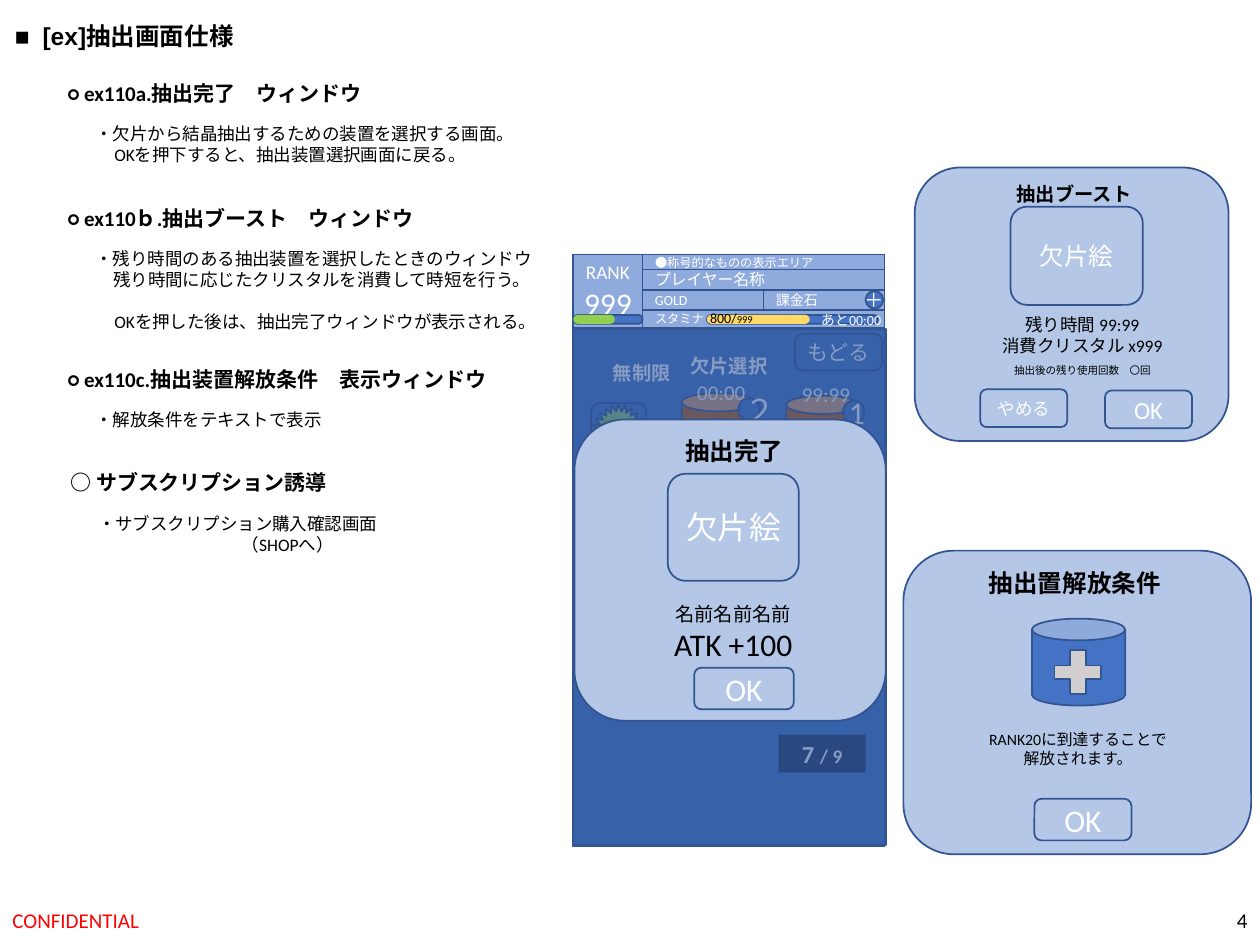
"""Build the extraction screen specification slide."""
from copy import deepcopy
from dataclasses import dataclass

from lxml.etree import SubElement
from pptx import Presentation
from pptx.dml.color import RGBColor
from pptx.enum.lang import MSO_LANGUAGE_ID
from pptx.enum.shapes import MSO_SHAPE
from pptx.enum.text import MSO_ANCHOR, MSO_AUTO_SIZE, PP_ALIGN
from pptx.oxml.ns import qn
from pptx.util import Inches, Pt

BLACK = RGBColor(0x00, 0x00, 0x00)
WHITE = RGBColor(0xFF, 0xFF, 0xFF)
RED = RGBColor(0xFF, 0x00, 0x00)
BLUE = RGBColor(0x44, 0x72, 0xC4)
OUTLINE = RGBColor(0x32, 0x54, 0x91)
NAVY = RGBColor(0x2F, 0x55, 0x97)
PALE = RGBColor(0xB4, 0xC7, 0xE7)
STEEL = RGBColor(0x8F, 0xAA, 0xDC)
GREY = RGBColor(0xD0, 0xCE, 0xCE)
GREEN = RGBColor(0x92, 0xD0, 0x50)
YELLOW = RGBColor(0xFF, 0xD9, 0x66)
BROWN = RGBColor(0xC5, 0x5A, 0x11)
GEM_STOPS = (
    (0, RGBColor(0x4B, 0x74, 0x30)),
    (0.48, RGBColor(0x74, 0xB3, 0x49)),
    (1, RGBColor(0xA9, 0xD1, 0x8E)),
)
CJK_FONT = "Noto Sans CJK JP"
LEFT, CENTER, RIGHT = PP_ALIGN.LEFT, PP_ALIGN.CENTER, PP_ALIGN.RIGHT
TOP, MIDDLE = MSO_ANCHOR.TOP, MSO_ANCHOR.MIDDLE
RECT, ROUND, OVAL = MSO_SHAPE.RECTANGLE, MSO_SHAPE.ROUNDED_RECTANGLE, MSO_SHAPE.OVAL
CAN, STAR = MSO_SHAPE.CAN, MSO_SHAPE.STAR_24_POINT


@dataclass(frozen=True)
class Words:
    """A run of text."""
    text: str
    size: float
    color: RGBColor = BLACK
    bold: bool = False
    font: str = "Calibri"


@dataclass(frozen=True)
class Row:
    """A paragraph made of runs."""
    runs: tuple
    align: PP_ALIGN = LEFT
    indent: float = 0
    gap: float = 0
    tab: float = 0


def row(text: str, size: float, color: RGBColor = BLACK, bold: bool = False,
        font: str = "Calibri", **layout) -> Row:
    """Make a paragraph of one run."""
    return Row((Words(text, size, color, bold, font),), **layout)


def write(frame, rows, anchor=TOP, wrap: bool = True) -> None:
    """Fill a text frame with paragraphs."""
    frame.word_wrap = wrap
    frame.vertical_anchor = anchor
    for index, line in enumerate(rows):
        paragraph = frame.add_paragraph() if index else frame.paragraphs[0]
        paragraph.alignment = line.align
        properties = paragraph._p.get_or_add_pPr()
        if line.gap:
            paragraph.space_before = Pt(line.gap)
        if line.indent:
            properties.set("marL", str(Inches(line.indent)))
            properties.set("indent", "0")
        if line.tab:
            stops = SubElement(properties, qn("a:tabLst"))
            SubElement(stops, qn("a:tab"), pos=str(Inches(line.tab)), algn="l")
        for words in line.runs:
            run = paragraph.add_run()
            run.text = words.text
            run.font.size = Pt(words.size)
            run.font.bold = words.bold
            run.font.color.rgb = words.color
            run.font.name = words.font
            run.font.language_id = MSO_LANGUAGE_ID.JAPANESE
            SubElement(run._r.get_or_add_rPr(), qn("a:ea"), typeface=CJK_FONT)


def note(shapes, at, *rows: Row, anchor=TOP, wrap: bool = True, grow: bool = False) -> None:
    """Place a text box."""
    box = shapes.add_textbox(*map(Inches, at))
    write(box.text_frame, rows, anchor, wrap)
    box.text_frame.auto_size = MSO_AUTO_SIZE.SHAPE_TO_FIT_TEXT if grow else MSO_AUTO_SIZE.NONE


def block(shapes, kind, at, fill: RGBColor, *rows: Row, lined: bool = True, adjust: float = 0,
          opacity: int = 100, anchor=MIDDLE, wrap: bool = True):
    """Place a filled preset shape with optional text."""
    shape = shapes.add_shape(kind, *map(Inches, at))
    shape.shadow.inherit = False
    shape.fill.solid()
    shape.fill.fore_color.rgb = fill
    if opacity < 100:
        color = shape._element.spPr.find(f"{qn('a:solidFill')}/{qn('a:srgbClr')}")
        SubElement(color, qn("a:alpha"), val=str(opacity * 1000))
    if lined:
        shape.line.color.rgb = OUTLINE
        shape.line.width = Pt(1)
    else:
        shape.line.fill.background()
    if adjust:
        shape.adjustments[0] = adjust
    write(shape.text_frame, rows, anchor, wrap)
    return shape


def label(shapes, kind, at, fill: RGBColor, text: str, size: float, align=CENTER, **style) -> None:
    """Place a shape with one white line of text."""
    block(shapes, kind, at, fill, row(text, size, WHITE, align=align), **style)


def gem(shapes, at) -> None:
    """Place a green gradient star."""
    fill = block(shapes, STAR, at, GREEN).fill
    fill.gradient()
    fill.gradient_angle = 90
    last = fill.gradient_stops[1]._gs
    last.addprevious(deepcopy(last))
    for stop, (position, color) in zip(fill.gradient_stops, GEM_STOPS):
        stop.position = position
        stop.color.rgb = color


def draw_notes(shapes) -> None:
    """Write the title, footer and specification list."""
    note(shapes, (7.75, 7.1, 2.25, 0.4), row("4", 12, align=RIGHT), anchor=MIDDLE)
    note(shapes, (0, 7.1, 3.38, 0.4), row("CONFIDENTIAL", 12, RED), anchor=MIDDLE)
    note(shapes, (0.02, 0.12, 2.07, 0.34),
         row("■\t[ex]抽出画面仕様", 14, bold=True, font="Arial", tab=0.22), wrap=False, grow=True)
    sections = (
        (0.44, 0.59, "○ ex110a.抽出完了　ウィンドウ", 3.57,
         (row("・欠片から結晶抽出するための装置を選択する画面。", 10),
          row("OKを押下すると、抽出装置選択画面に戻る。", 10, indent=0.15))),
        (0.44, 1.58, "○ ex110ｂ.抽出ブースト　ウィンドウ", 3.91,
         (row("・残り時間のある抽出装置を選択したときのウィンドウ", 10),
          row("残り時間に応じたクリスタルを消費して時短を行う。", 10, indent=0.14),
          row("OKを押した後は、抽出完了ウィンドウが表示される。", 10, indent=0.15, gap=12))),
        (0.44, 2.86, "○ ex110c.抽出装置解放条件　表示ウィンドウ", 2.03,
         (row("・解放条件をテキストで表示", 10),)),
        (0.46, 3.68, "○ サブスクリプション誘導", 2.45,
         (row("・サブスクリプション購入確認画面", 10), row("（SHOPへ）", 10, indent=1.14))),
    )
    for left, top, heading, width, details in sections:
        note(shapes, (left, top, 1.55, 0.3), row(heading, 12, bold=True), wrap=False)
        note(shapes, (left + 0.22, top + 0.34, width, 0.1 + 0.17 * len(details)), *details,
             wrap=False, grow=True)


def draw_unlock_window(shapes) -> None:
    """Draw the unlock condition window."""
    block(shapes, ROUND, (7.17, 4.37, 2.76, 2.41), PALE)
    note(shapes, (7.75, 4.46, 1.68, 0.34), row("抽出置解放条件", 14, bold=True), grow=True)
    note(shapes, (7.48, 5.74, 2.15, 0.4), row("RANK20に到達することで", 9, align=CENTER),
         row("解放されます。", 9, align=CENTER), grow=True)
    label(shapes, ROUND, (8.21, 6.34, 0.77, 0.33), PALE, "OK", 18)
    block(shapes, CAN, (8.19, 4.91, 0.74, 0.69), BLUE)
    block(shapes, MSO_SHAPE.CROSS, (8.37, 5.16, 0.37, 0.35), GREY, adjust=0.35)


def draw_boost_window(shapes) -> None:
    """Draw the extraction boost window."""
    block(shapes, ROUND, (7.26, 1.33, 2.49, 2.17), PALE)
    label(shapes, ROUND, (8.02, 1.64, 1.05, 0.78), PALE, "欠片絵", 14)
    note(shapes, (7.97, 1.4, 1.33, 0.29), row("抽出ブースト", 11, bold=True), grow=True)
    note(shapes, (7.68, 2.44, 1.82, 0.61), row("残り時間 99:99", 10, align=CENTER),
         row("消費クリスタル x999", 10, align=CENTER),
         row("抽出後の残り使用回数　〇回", 6, align=CENTER, gap=5), grow=True)
    label(shapes, ROUND, (7.78, 3.09, 0.69, 0.3), PALE, "やめる", 10)
    label(shapes, ROUND, (8.77, 3.1, 0.69, 0.3), PALE, "OK", 14)


def draw_status_bar(shapes) -> None:
    """Draw the player status at the top of the phone screen."""
    rank = block(shapes, RECT, (4.55, 2.02, 0.55, 0.58), STEEL,
                 row("RANK", 11, WHITE, align=CENTER), row("999", 18, WHITE, align=CENTER),
                 anchor=TOP, wrap=False)
    rank.text_frame.margin_left = rank.text_frame.margin_right = Inches(0)
    for at, text, size in (
        ((5.1, 2.02, 1.92, 0.12), "●称号的なものの表示エリア", 7),
        ((5.1, 2.14, 1.92, 0.16), "プレイヤー名称", 9),
        ((5.1, 2.3, 0.96, 0.16), "GOLD", 8),
        ((6.06, 2.3, 0.96, 0.16), "課金石", 8),
        ((5.1, 2.46, 1.92, 0.14), "スタミナ", 7),
    ):
        label(shapes, RECT, at, STEEL, text, size, LEFT)
    label(shapes, OVAL, (6.87, 2.31, 0.14, 0.14), BLUE, "＋", 11, wrap=False)
    for left, width, color in ((4.55, 0.55, GREEN), (5.61, 1.36, YELLOW)):
        block(shapes, ROUND, (left, 2.5, width, 0.07), BLUE, adjust=0.5)
        block(shapes, ROUND, (left, 2.5, width * 0.6, 0.07), color, lined=False, adjust=0.5)
    note(shapes, (5.6, 2.45, 0.41, 0.14), Row((Words("800/", 8), Words("999", 6)), CENTER),
         anchor=MIDDLE, wrap=False)
    note(shapes, (6.55, 2.47, 0.41, 0.14), row("あと00:00", 8, WHITE, align=CENTER),
         anchor=MIDDLE, wrap=False)


def draw_phone(shapes) -> None:
    """Draw the phone screen with the completion window over it."""
    screen = block(shapes, RECT, (4.55, 2.02, 2.47, 4.7), BLUE,
                   row("欠片選択", 11, WHITE, True, CJK_FONT, align=CENTER), anchor=TOP)
    screen.text_frame.margin_top = Inches(0.79)
    draw_status_bar(shapes)
    label(shapes, ROUND, (6.31, 2.65, 0.69, 0.29), BLUE, "もどる", 12, adjust=0.2, wrap=False)
    block(shapes, RECT, (6.18, 5.83, 0.69, 0.3), BLACK,
          Row((Words("7 ", 14, WHITE, True), Words("/ 9", 11, WHITE, True)), CENTER),
          lined=False, opacity=50, wrap=False)
    block(shapes, ROUND, (4.69, 3.2, 0.44, 0.47), BLUE, adjust=0.15)
    gem(shapes, (4.7, 3.21, 0.42, 0.45))
    for left, top, time, count in ((6.24, 3.14, "99:99", "1"), (5.41, 3.12, "00:00", "２")):
        block(shapes, CAN, (left, top, 0.58, 0.58), BROWN)
        note(shapes, (left + 0.04, top - 0.15, 0.55, 0.28), row(time, 12, WHITE, align=CENTER),
             anchor=MIDDLE, wrap=False)
        gem(shapes, (left + 0.13, top + 0.2, 0.33, 0.32))
        label(shapes, OVAL, (left + 0.45, top + 0.04, 0.17, 0.18), BLUE, count, 18)
    note(shapes, (4.94, 2.84, 0.31, 0.24), row("無制限", 11, WHITE, True, align=CENTER),
         anchor=MIDDLE, wrap=False)
    block(shapes, RECT, (4.55, 2.61, 2.48, 4.1), NAVY, opacity=58)
    block(shapes, ROUND, (4.56, 3.33, 2.47, 2.39), PALE)
    label(shapes, ROUND, (5.3, 3.76, 1.04, 0.85), PALE, "欠片絵", 18)
    note(shapes, (4.75, 4.73, 2.14, 0.59), row("名前名前名前", 11, align=CENTER),
         row("ATK +100", 18, align=CENTER), grow=True)
    label(shapes, ROUND, (5.51, 5.3, 0.79, 0.33), PALE, "OK", 18)
    note(shapes, (4.95, 3.41, 1.68, 0.34), row("抽出完了", 14, bold=True, indent=0.39), grow=True)


def main() -> None:
    """Build and save the slide."""
    deck = Presentation()
    deck.slide_width, deck.slide_height = Inches(10), Inches(7.5)
    shapes = deck.slides.add_slide(deck.slide_layouts[6]).shapes
    draw_notes(shapes)
    draw_unlock_window(shapes)
    draw_boost_window(shapes.add_group_shape().shapes)
    draw_phone(shapes.add_group_shape().shapes)
    deck.save("out.pptx")


if __name__ == "__main__":
    main()
